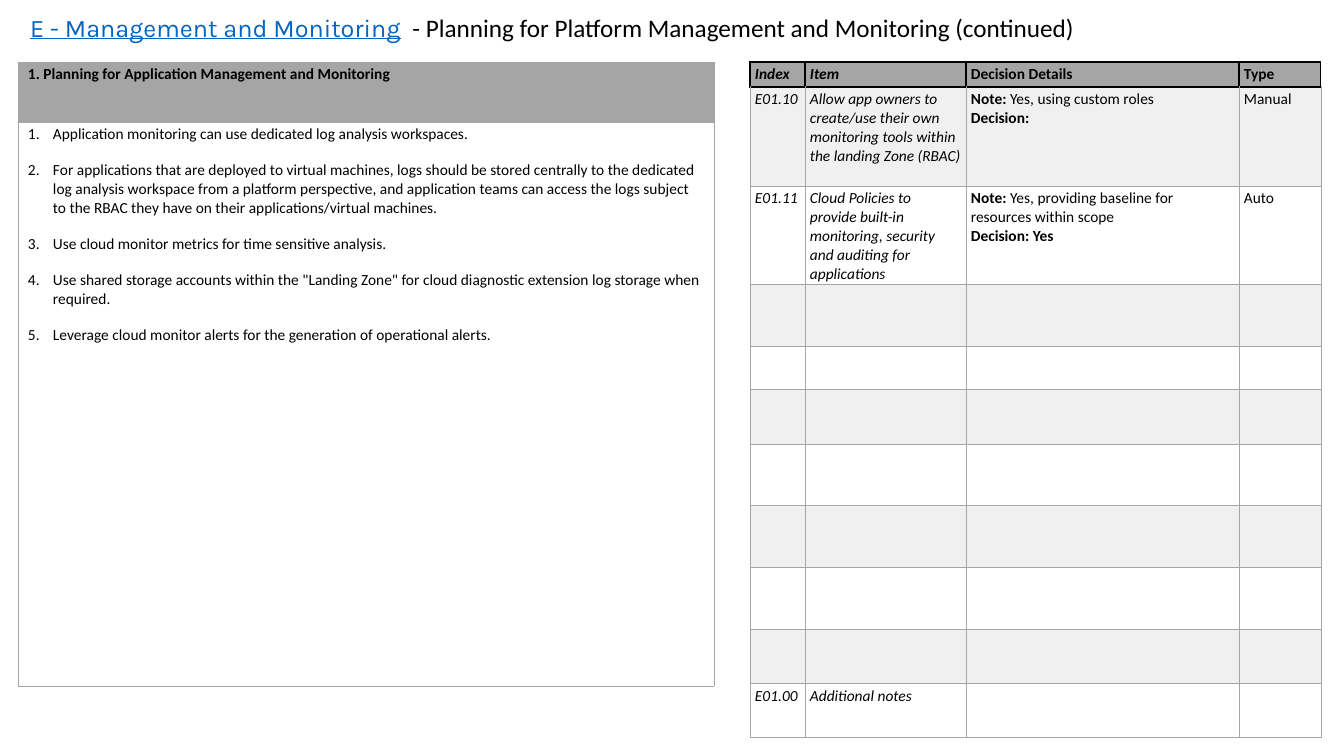
from dataclasses import dataclass

from lxml import etree
from pptx import Presentation
from pptx.dml.color import RGBColor
from pptx.enum.text import MSO_ANCHOR, MSO_AUTO_SIZE, PP_ALIGN
from pptx.oxml.ns import qn
from pptx.util import Emu, Pt

TOP = MSO_ANCHOR.TOP
GROW = MSO_AUTO_SIZE.SHAPE_TO_FIT_TEXT
LEFT = PP_ALIGN.LEFT
SCALE = 914400 / 100.8
EDGES = ("lnL", "lnR", "lnT", "lnB")


@dataclass(frozen=True)
class Theme:
    black: str = "000000"
    white: str = "FFFFFF"
    band: str = "F0F0F0"
    head: str = "A5A5A5"
    rule: str = "A6A6A6"
    link: str = "0563C1"
    font: str = "Calibri"
    accent: str = "Karla"
    large: int = 18
    small: int = 11
    thin: float = 0.5
    thick: float = 1


def px(n):
    return Emu(round(n * SCALE))


class Page:
    def __init__(self, deck, theme):
        self.theme = theme
        self.slide = deck.slides.add_slide(deck.slide_layouts[5])

    def run(self, para, text, size, style="", font=None, color=None):
        """Add one run; style holds any of the letters b, i and u."""
        run = para.add_run()
        run.text = text
        face = run.font
        face.name = font or self.theme.font
        face.size = Pt(size)
        face.bold = "b" in style
        face.italic = "i" in style
        face.underline = "u" in style
        face.color.rgb = RGBColor.from_string(color or self.theme.black)

    def title(self, box, runs):
        shape = self.slide.shapes.title
        shape.left, shape.top, shape.width, shape.height = map(px, box)
        frame = shape.text_frame
        frame.word_wrap = False
        frame.auto_size = GROW
        frame.vertical_anchor = TOP
        para = frame.paragraphs[0]
        para.alignment = LEFT
        para.space_after = Pt(18)
        for text, style, font, color in runs:
            self.run(para, text, self.theme.large, style, font, color)

    def grid(self, left, top, cols, rows):
        shape = self.slide.shapes.add_table(
            len(rows), len(cols), px(left), px(top), px(sum(cols)), px(sum(rows)))
        table = shape.table
        table.first_row = table.horz_banding = False
        for col, width in zip(table.columns, cols):
            col.width = px(width)
        for row, height in zip(table.rows, rows):
            row.height = px(height)
        return table

    def cell(self, cell, paras, fill, pad, lines):
        """Fill a cell; lines gives (colour, points) for left, right, top, bottom."""
        cell.margin_left = cell.margin_right = px(pad)
        cell.margin_top = cell.margin_bottom = px(3)
        cell.fill.solid()
        cell.fill.fore_color.rgb = RGBColor.from_string(fill)
        props = cell._tc.get_or_add_tcPr()
        for spot, (edge, (color, width)) in enumerate(zip(EDGES, lines)):
            line = etree.Element(qn("a:" + edge), w=str(Pt(width)))
            solid = etree.SubElement(line, qn("a:solidFill"))
            etree.SubElement(solid, qn("a:srgbClr"), val=color)
            props.insert(spot, line)
        frame = cell.text_frame
        for num, runs in enumerate(paras):
            para = frame.add_paragraph() if num else frame.paragraphs[0]
            for text, style in runs:
                self.run(para, text, self.theme.small, style)

    def number(self, frame):
        """Turn the paragraphs of a frame into a numbered list."""
        for num, para in enumerate(frame.paragraphs):
            props = para._p.get_or_add_pPr()
            props.set("marL", str(px(25)))
            props.set("indent", str(-px(25)))
            etree.SubElement(props, qn("a:buFont"), typeface="+mj-lt")
            etree.SubElement(props, qn("a:buAutoNum"), type="arabicPeriod")
            if num:
                para.space_before = Pt(6)
            para.space_after = Pt(6)


STEPS = [
    "Application monitoring can use dedicated log analysis workspaces.",
    "For applications that are deployed to virtual machines, logs should be stored "
    "centrally to the dedicated log analysis workspace from a platform perspective, "
    "and application teams can access the logs subject to the RBAC they have on their "
    "applications/virtual machines.",
    "Use cloud monitor metrics for time sensitive analysis.",
    'Use shared storage accounts within the "Landing Zone" for cloud diagnostic '
    "extension log storage when required.",
    "Leverage cloud monitor alerts for the generation of operational alerts.",
]


def entry(index, item, note="", choice="", kind=""):
    """One row of the decision table, as paragraphs of runs for each cell."""
    details = [[("Note: ", "b"), (note, "")], [(choice, "b")]] if note else []
    return [[[(index, "i")]], [[(item, "i")]], details, [[(kind, "")]] if kind else []]


BLANK = [[], [], [], []]
DECISIONS = [
    [[[("Index", "bi")]], [[("Item", "bi")]], [[("Decision Details", "b")]], [[("Type", "b")]]],
    entry("E01.10", "Allow app owners to create/use their own monitoring tools within "
          "the landing Zone (RBAC)", "Yes, using custom roles", "Decision: ", "Manual"),
    entry("E01.11", "Cloud Policies to provide built-in monitoring, security and auditing "
          "for applications", "Yes, providing baseline for resources within scope",
          "Decision: Yes", "Auto"),
    *[BLANK] * 7,
    entry("E01.00", "Additional notes"),
]


def main():
    theme = Theme()
    deck = Presentation()
    deck.slide_width, deck.slide_height = px(1344), px(756)
    page = Page(deck, theme)

    # Title
    page.title((20, 7, 1072, 40), [
        ("E - Management and Monitoring", "u", theme.accent, theme.link),
        (" ", "", theme.accent, theme.black),
        (" - Planning for Platform Management and Monitoring (continued)", "",
         theme.font, theme.black),
    ])

    # Planning list
    plan = page.grid(18, 62, [696], [60, 564])
    frame = [(theme.head, theme.thin)] * 4
    heading = "1. Planning for Application Management and Monitoring"
    page.cell(plan.cell(0, 0), [[(heading, "b")]], theme.head, 10, frame)
    page.cell(plan.cell(1, 0), [[(step, "")] for step in STEPS], theme.white, 10, frame)
    page.number(plan.cell(1, 0).text_frame)

    # Decision table
    table = page.grid(750, 62, [55, 161, 273, 82],
                      [25, 99, 98, 62, 43, 55, 61, 62, 62, 54, 54])
    dark, pale = (theme.black, theme.thick), (theme.rule, theme.thin)
    for r, row in enumerate(DECISIONS):
        fill = theme.band if r % 2 else theme.white
        lines = [pale, pale, dark if r == 1 else pale, pale]
        if r == 0:
            fill, lines = theme.head, [dark] * 4
        for c, paras in enumerate(row):
            page.cell(table.cell(r, c), paras, fill, 5, lines)

    deck.save("out.pptx")


if __name__ == "__main__":
    main()
